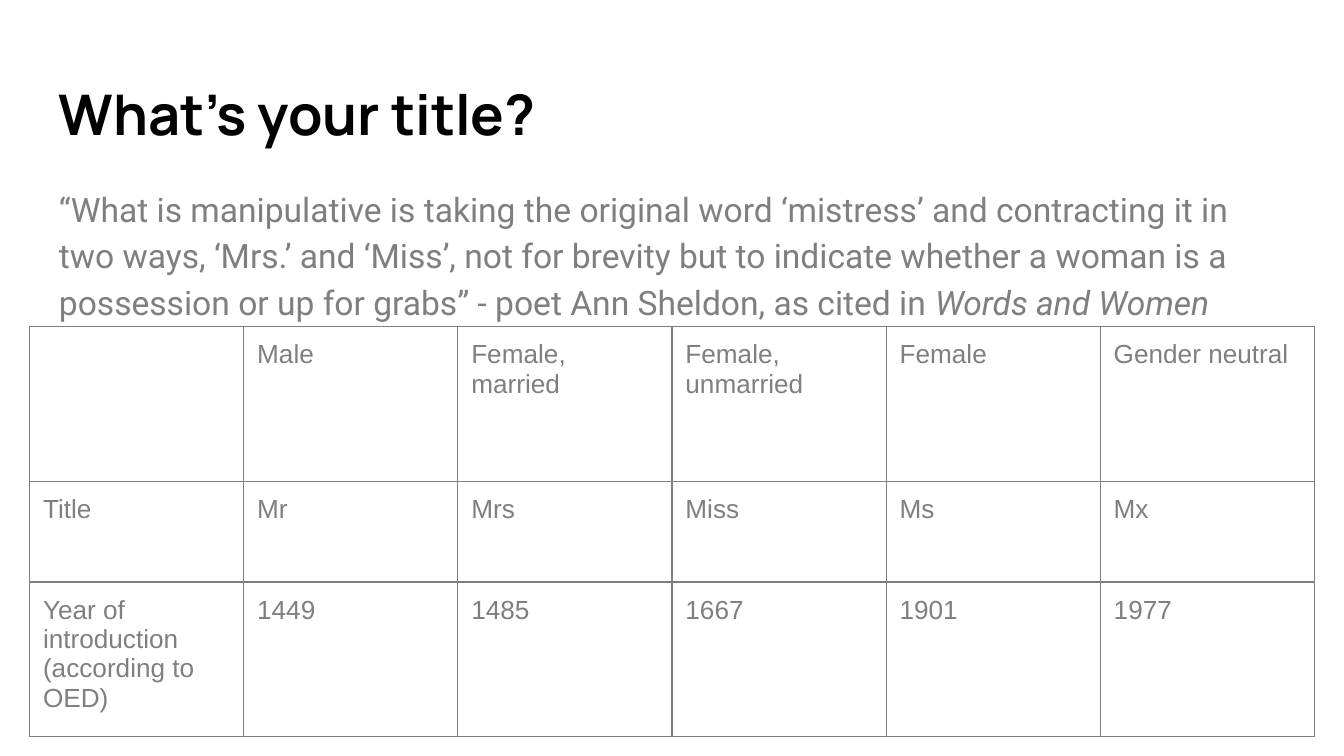
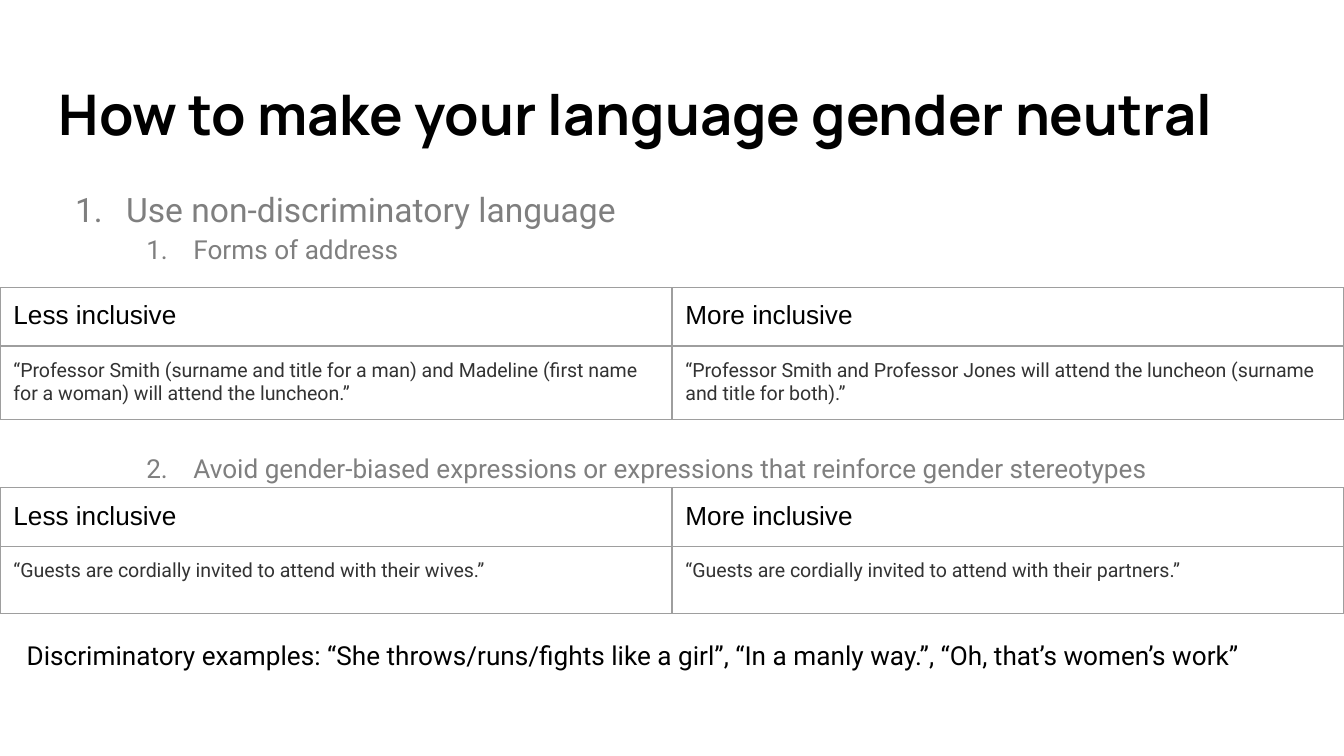
from lxml.etree import SubElement
from pptx import Presentation
from pptx.dml.color import RGBColor
from pptx.enum.text import MSO_ANCHOR
from pptx.oxml.ns import qn
from pptx.util import Inches, Pt

BLACK = RGBColor(0x00, 0x00, 0x00)
DARK = RGBColor(0x33, 0x33, 0x33)
GRAY = RGBColor(0x7F, 0x7F, 0x7F)
RULE = RGBColor(0x9E, 0x9E, 0x9E)
WHITE = RGBColor(0xFF, 0xFF, 0xFF)

TITLE = {"name": "Manrope", "size": Pt(30), "bold": True, "color": BLACK}
BODY = {"name": "Roboto", "size": Pt(18), "color": GRAY}
SUBITEM = {**BODY, "size": Pt(14)}
NOTE = {**SUBITEM, "color": BLACK}
CELL = {"name": "Arial", "size": Pt(14), "color": GRAY}
HEADER = {**CELL, "color": BLACK}
EXAMPLE = {"name": "Roboto", "size": Pt(10.5), "color": DARK}

MARGINS = {f"margin_{side}": Inches(0.1) for side in ("left", "top", "right", "bottom")}
FRAME = {"width": Inches(3.28), "height": Inches(3.28)}
TITLE_BOX = (0.34, 0.49, 9.32, 0.68)
TITLES = [
    ["", "Male", "Female, married", "Female, unmarried", "Female", "Gender neutral"],
    ["Title", "Mr", "Mrs", "Miss", "Ms", "Mx"],
    ["Year of introduction (according to OED)", "1449", "1485", "1667", "1901", "1977"],
]
COMPARISONS = [
    (2.14, "“Professor Smith (surname and title for a man) and Madeline (first name for a woman) "
           "will attend the luncheon.”",
     "“Professor Smith and Professor Jones will attend the luncheon (surname and title for both).”"),
    (3.63, "“Guests are cordially invited to attend with their wives.”",
     "“Guests are cordially invited to attend with their partners.”"),
]
OUTLINE = [
    ("Use non-discriminatory language", 0, 0),
    ("Forms of address", 1, 0),
    ("Avoid gender-biased expressions or expressions that reinforce gender stereotypes", 1, 98),
]


def apply(target, values):
    """Set each attribute of the target from a dict."""
    for key, value in values.items():
        setattr(target, key, value)


def add_run(p, text, style):
    """Append a styled run to a paragraph."""
    r = p.add_run()
    r.text = text
    apply(r.font, {k: v for k, v in style.items() if k != "color"})
    r.font.color.rgb = style["color"]


def add_text(s, box, *runs):
    """Add a wrapped text box with one paragraph and return its frame."""
    tf = s.shapes.add_textbox(*map(Inches, box)).text_frame
    apply(tf, {**MARGINS, "word_wrap": True, "vertical_anchor": MSO_ANCHOR.TOP})
    for text, style in runs:
        add_run(tf.paragraphs[0], text, style)
    return tf


def add_slide(prs, title):
    """Add a white slide with its title."""
    s = prs.slides.add_slide(prs.slide_layouts[6])
    s.background.fill.solid()
    s.background.fill.fore_color.rgb = WHITE
    add_text(s, TITLE_BOX, (title, TITLE))
    return s


def set_borders(cell, color):
    """Draw a thin line on all four sides of a cell."""
    tcPr = cell._tc.get_or_add_tcPr()
    for side in "LRTB":
        ln = SubElement(tcPr, qn(f"a:ln{side}"), w=str(Pt(0.75)))
        fill = SubElement(ln, qn("a:solidFill"))
        SubElement(fill, qn("a:srgbClr"), val=str(color))


def add_grid(s, box, rows, heights, styles, border):
    """Add an unfilled ruled table with equal columns and one text style per row."""
    left, top, width = box
    size = (left, top, width, sum(heights))
    frame = s.shapes.add_table(len(rows), len(rows[0]), *map(Inches, size))
    table = frame.table
    apply(table, {"first_row": False, "horz_banding": False})
    for col in table.columns:
        col.width = Inches(width / len(rows[0]))
    for i, (texts, height, style) in enumerate(zip(rows, heights, styles)):
        table.rows[i].height = Inches(height)
        for cell, text in zip(table.rows[i].cells, texts):
            apply(cell, MARGINS)
            set_borders(cell, border)
            cell.fill.background()
            if text:
                add_run(cell.text_frame.paragraphs[0], text, style)
    apply(frame, FRAME)


def number(p, level):
    """Give a paragraph an automatic number and a hanging indent."""
    p.level = level
    pPr = p._p.get_or_add_pPr()
    pPr.set("marL", str(Inches(0.5 + 0.5 * level)))
    pPr.set("indent", str(Inches((-0.38, -0.35)[level])))
    color = SubElement(pPr, qn("a:buClr"))
    SubElement(color, qn("a:srgbClr"), val=str(GRAY))
    SubElement(pPr, qn("a:buFont"), typeface="Roboto")
    SubElement(pPr, qn("a:buAutoNum"), type="arabicPeriod")


def add_outline(s, box):
    """Add the numbered outline that frames the comparisons."""
    tf = add_text(s, box)
    for i, (text, level, before) in enumerate(OUTLINE):
        p = tf.add_paragraph() if i else tf.paragraphs[0]
        apply(p, {"line_spacing": 1.15, "space_before": Pt(before)})
        number(p, level)
        add_run(p, text, SUBITEM if level else BODY)


def build_titles(prs):
    """Build the slide on the history of forms of address."""
    s = add_slide(prs, "What’s your title?")
    quote = ("“What is manipulative is taking the original word ‘mistress’ and contracting it in "
             "two ways, ‘Mrs.’ and ‘Miss’, not for brevity but to indicate whether a woman is a "
             "possession or up for grabs” - poet Ann Sheldon, as cited in ")
    tf = add_text(s, (0.34, 1.26, 9.32, 1.17), (quote, BODY),
                  ("Words and Women", {**BODY, "italic": True}))
    apply(tf.paragraphs[0], {"line_spacing": 1.15, "space_after": Pt(16)})
    add_grid(s, (0.22, 2.43, 9.56), TITLES, (1.15, 0.75, 1.15), [CELL] * 3, GRAY)


def build_language(prs):
    """Build the slide that compares less and more inclusive wording."""
    s = add_slide(prs, "How to make your language gender neutral")
    add_outline(s, (0.34, 1.26, 9.32, 2.37))
    for top, less, more in COMPARISONS:
        rows = [("Less inclusive", "More inclusive"), (less, more)]
        add_grid(s, (0, top, 10), rows, (0.37, 0.5), (HEADER, EXAMPLE), RULE)
    add_text(s, (0.1, 4.66, 9.9, 0.65),
             ("Discriminatory examples: “She throws/runs/fights like a girl”, "
              "“In a manly way.”, “Oh, that’s women’s work”", NOTE))


def main():
    """Build and save the presentation."""
    prs = Presentation()
    apply(prs, {"slide_width": Inches(10), "slide_height": Inches(10 * 9 / 16)})
    build_titles(prs)
    build_language(prs)
    prs.save("out.pptx")


if __name__ == "__main__":
    main()
